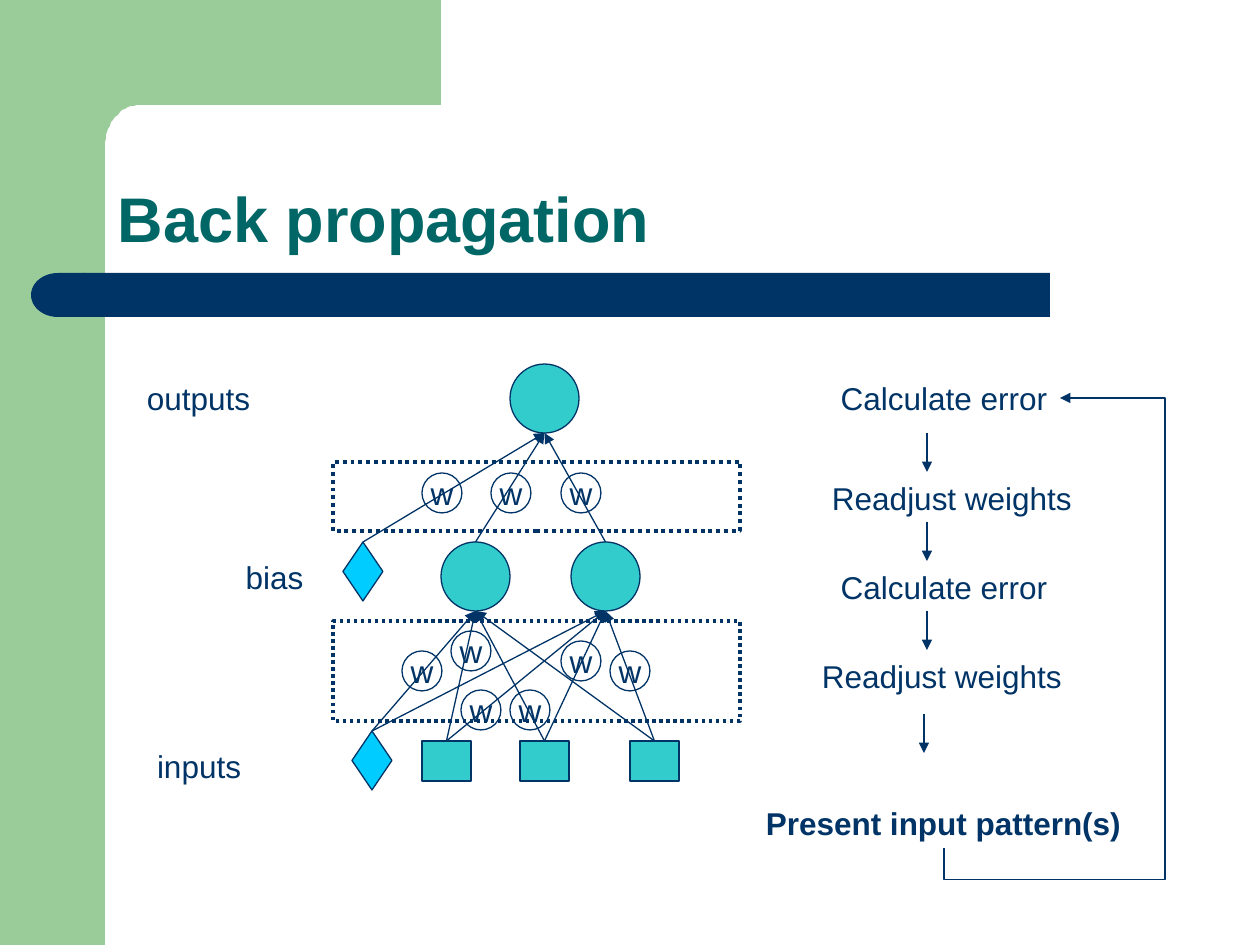
import math
from itertools import product
from lxml import etree
from pptx import Presentation
from pptx import util as u
from pptx.dml import color
from pptx.enum import dml, shapes, text
from pptx.oxml import ns

PX = 914400 / 126
NAVY = color.RGBColor(0x00, 0x33, 0x66)
GREEN = color.RGBColor(0x99, 0xCC, 0x99)
TITLE = color.RGBColor(0x00, 0x66, 0x66)
TEAL = color.RGBColor(0x33, 0xCC, 0xCC)
SKY = color.RGBColor(0x00, 0xCC, 0xFF)
SHAPE = shapes.MSO_SHAPE
LINE = shapes.MSO_CONNECTOR


def px(n):
    return u.Emu(round(n * PX))


def style(sp, fill, line, width=0.75):
    sp.shadow.inherit = False
    if fill is None:
        sp.fill.background()
    else:
        sp.fill.solid()
        sp.fill.fore_color.rgb = fill
    if line is None:
        sp.line.fill.background()
    else:
        sp.line.color.rgb = line
        sp.line.width = u.Pt(width)


def add_shape(s, kind, box, fill=None, line=None, width=0.75):
    sp = s.shapes.add_shape(kind, *map(px, box))
    style(sp, fill, line, width)
    return sp


def write(p, words, size=18, rgb=NAVY, bold=False):
    r = p.add_run()
    r.text = words
    r.font.name = "Arial"
    r.font.size = u.Pt(size)
    r.font.bold = bold
    r.font.color.rgb = rgb


def center_text(sp, words, bold=False):
    tf = sp.text_frame
    tf.word_wrap = False
    p = tf.paragraphs[0]
    p.alignment = text.PP_ALIGN.CENTER
    write(p, words, bold=bold)


def add_label(s, x, y, w, words, bold=False):
    center_text(s.shapes.add_textbox(px(x), px(y), px(w), px(50)), words, bold)


def add_arrow(s, start, end, kind=LINE.STRAIGHT):
    cxn = s.shapes.add_connector(kind, *map(px, (*start, *end)))
    cxn.line.color.rgb = NAVY
    cxn.line.width = u.Pt(0.75)
    ln = cxn.line._get_or_add_ln()
    etree.SubElement(ln, ns.qn("a:tailEnd"), type="triangle")
    etree.SubElement(cxn._element.spPr, ns.qn("a:effectLst"))
    return cxn


def add_loop_arrow(s, start, end, adjustments):
    cx, cy = (start[0] + end[0]) / 2, (start[1] + end[1]) / 2
    half_w, half_h = abs(start[1] - end[1]) / 2, abs(end[0] - start[0]) / 2
    cxn = add_arrow(s, (cx + half_w, cy + half_h), (cx - half_w, cy - half_h), LINE.ELBOW)
    sp_pr = cxn._element.spPr
    sp_pr.find(ns.qn("a:xfrm")).set("rot", "5400000")
    geom = sp_pr.find(ns.qn("a:prstGeom"))
    geom.set("prst", "bentConnector4")
    guides = geom.find(ns.qn("a:avLst"))
    for i, value in enumerate(adjustments, 1):
        etree.SubElement(guides, ns.qn("a:gd"), name=f"adj{i}", fmla=f"val {value}")


def draw_frame(s, x, y, w, h):
    add_shape(s, SHAPE.RECTANGLE, (x, y, 105, h), GREEN)
    angles = [math.radians(5 * i) for i in range(19)]
    corner = [(x + 140 - 35 * math.sin(a), y + 146 - 41 * math.cos(a)) for a in angles]
    outline = corner + [(x + 105, y + 161), (x + 63, y + 161), (x + 63, y)]
    fb = s.shapes.build_freeform(x + 441, y, scale=PX)
    fb.add_line_segments([(x + 441, y + 105)] + outline)
    style(fb.convert_to_shape(), GREEN, None)
    add_shape(s, SHAPE.RECTANGLE, (x + 84, y + 273, 966, 44), NAVY)
    cap = add_shape(s, SHAPE.FLOWCHART_DELAY, (x + 31, y + 273, 54, 44), NAVY)
    cap._element.spPr.find(ns.qn("a:xfrm")).set("flipH", "1")


def draw_title(s, x, y, w, h):
    sp = s.shapes.title
    sp.left, sp.top, sp.width, sp.height = map(px, (x, y, w, h))
    tf = sp.text_frame
    tf.word_wrap = True
    tf.auto_size = text.MSO_AUTO_SIZE.NONE
    tf.vertical_anchor = text.MSO_ANCHOR.BOTTOM
    p = tf.paragraphs[0]
    p.alignment = text.PP_ALIGN.LEFT
    p.line_spacing = 0.9
    write(p, "Back propagation", 36, TITLE, True)


def draw_network(s, x, y, w, h):
    def nodes(kind, fill, spots, nw, nh):
        boxes = [(x + dx, y + dy, nw, nh) for dx, dy in spots]
        for box in boxes:
            add_shape(s, kind, box, fill, NAVY)
        return boxes

    outputs = nodes(SHAPE.OVAL, TEAL, [(179, 0)], 69, 69)
    hidden = nodes(SHAPE.OVAL, TEAL, [(110, 178), (240, 178)], 69, 69)
    inputs = nodes(SHAPE.RECTANGLE, TEAL, [(91, 377), (189, 377), (299, 377)], 49, 40)
    for dy, height, width in ((257, 100, 2), (98, 69, 2.25)):
        band = add_shape(s, SHAPE.RECTANGLE, (x + 2, y + dy, w, height), None, NAVY, width)
        band.line.dash_style = dml.MSO_LINE.ROUND_DOT
    biases = nodes(SHAPE.DIAMOND, SKY, [(21, 367), (12, 178)], 40, 59)

    links = [*product(hidden + biases[1:], outputs), *product(inputs + biases[:1], hidden)]
    for (ax, ay, aw, ah), (bx, by, bw, bh) in links:
        add_arrow(s, (ax + aw / 2, ay), (bx + bw / 2, by + bh))

    weights = [(91, 109), (160, 109), (230, 109), (71, 287), (279, 287),
               (179, 326), (120, 267), (230, 277), (130, 326)]
    for dx, dy in weights:
        sp = add_shape(s, SHAPE.OVAL, (x + dx, y + dy, 40, 40), None, NAVY)
        sp.text_frame.vertical_anchor = text.MSO_ANCHOR.MIDDLE
        center_text(sp, "w")


def draw_layer_labels(s, x, y, w, h):
    add_label(s, x, y, 129, "outputs")
    add_label(s, x + 99, y + 179, 83, "bias")
    add_label(s, x + 10, y + 368, 110, "inputs")


def draw_steps(s, x, y, w, h):
    steps = [(75, 0, 232, "Calculate error"), (66, 100, 266, "Readjust weights"),
             (75, 189, 232, "Calculate error"), (56, 278, 266, "Readjust weights")]
    for dx, dy, width, words in steps:
        add_label(s, x + dx, y + dy, width, words)
    add_label(s, x, y + 425, w, "Present input pattern(s)", True)
    for dx, dy in ((174, 60), (174, 149), (174, 238), (171, 341)):
        add_arrow(s, (x + dx, y + dy), (x + dx, y + dy + 39))
    add_loop_arrow(s, (x + 191, y + 475), (x + 307, y + 25), (-7000, 190600))


def main():
    prs = Presentation()
    prs.slide_width, prs.slide_height = px(1260), px(945)
    s = prs.slides.add_slide(prs.slide_layouts[5])
    draw_frame(s, 0, 0, 1260, 945)
    draw_title(s, 105, 105, 1092, 157)
    draw_network(s, 331, 364, 407, 426)
    draw_layer_labels(s, 134, 373, 182, 418)
    draw_steps(s, 753, 373, 381, 475)
    prs.save("out.pptx")


if __name__ == "__main__":
    main()
